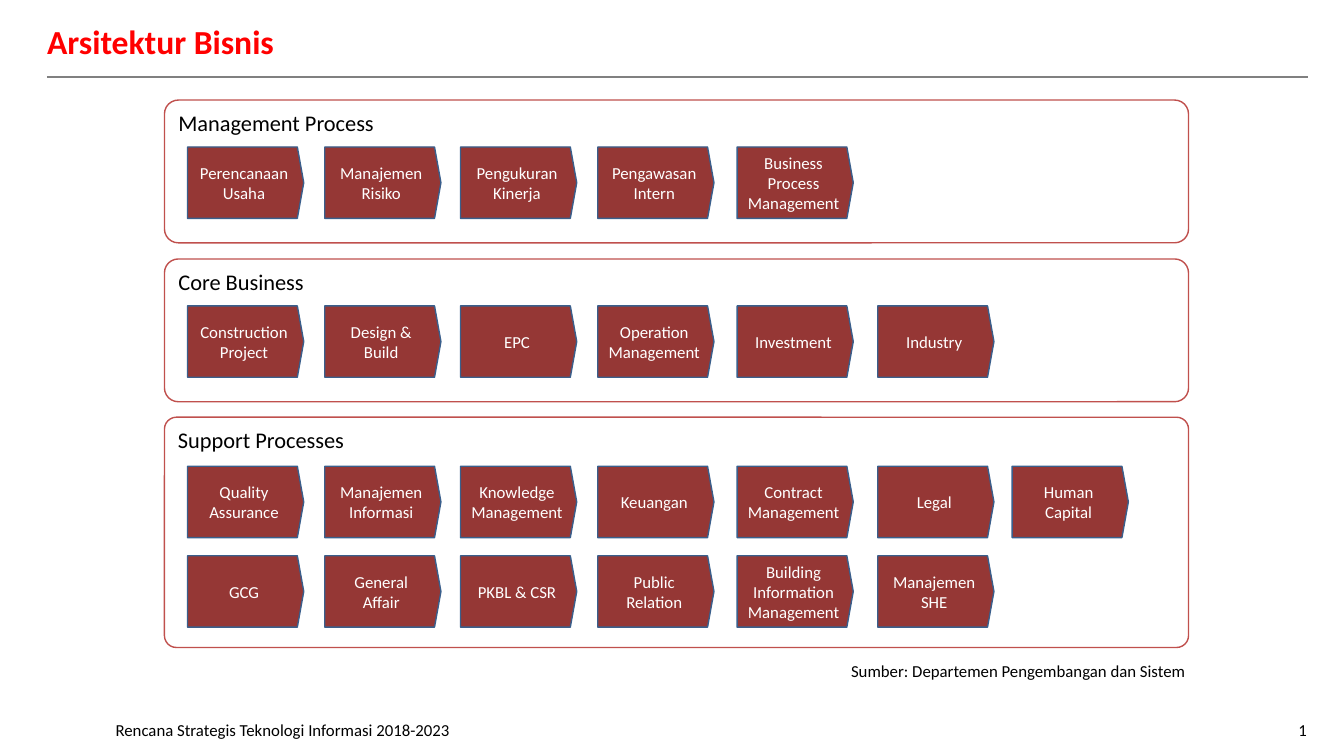
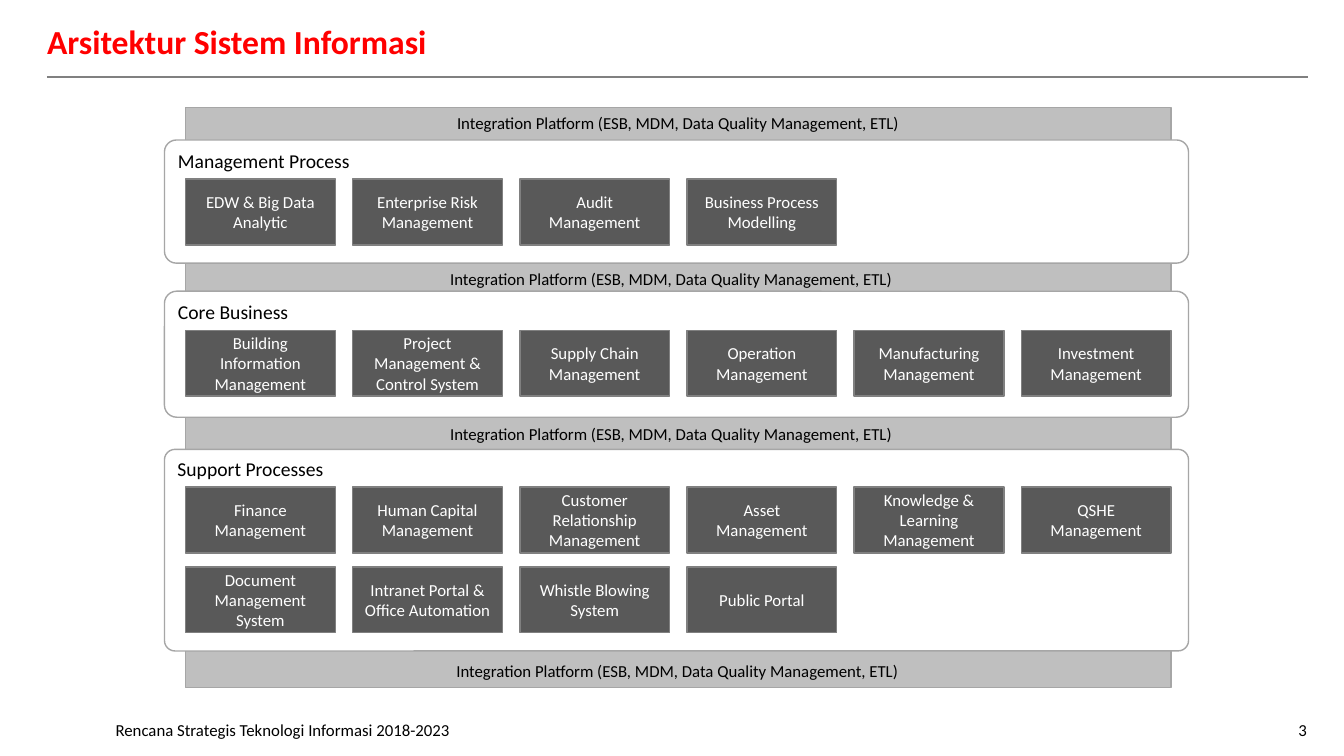
from dataclasses import dataclass

from lxml.etree import SubElement
from pptx import Presentation
from pptx.dml.color import RGBColor
from pptx.enum.shapes import MSO_CONNECTOR as Connector, MSO_SHAPE as Preset
from pptx.enum.text import MSO_ANCHOR as Anchor, PP_ALIGN as Align
from pptx.oxml.ns import qn
from pptx.util import Pt

FONT = "Calibri"
BLACK, WHITE, RED = "000000", "FFFFFF", "FF0000"
MAROON, BRICK, NAVY = "953735", "C0504D", "3A5F8C"
CHARCOAL, GRAY, SILVER, PALE = "595959", "808080", "A6A6A6", "BFBFBF"

FOOTER = "Rencana Strategis Teknologi Informasi 2018-2023"
SOURCE = "Sumber: Departemen Pengembangan dan Sistem"
PLATFORM = "Integration Platform (ESB, MDM, Data Quality Management, ETL)"
PANEL_LEFT, PANEL_WIDTH = 117.5, 731.5


@dataclass(frozen=True)
class Area:
    left: float
    top: float
    width: float
    height: float

    def lengths(self) -> tuple:
        return Pt(self.left), Pt(self.top), Pt(self.width), Pt(self.height)


@dataclass(frozen=True)
class TextStyle:
    size: float = 12
    color: str = BLACK
    bold: bool = False
    align: Align = Align.LEFT
    anchor: Anchor = Anchor.TOP


@dataclass(frozen=True)
class BoxStyle:
    preset: Preset
    fill: str
    line: str
    text: TextStyle
    adjustment: float | None = None


@dataclass(frozen=True)
class Row:
    top: float
    labels: tuple[str, ...]


@dataclass(frozen=True)
class Panel:
    heading: str
    top: float
    height: float
    rows: tuple[Row, ...]


@dataclass(frozen=True)
class PanelStyle:
    """Look of the panels on one page and the grid of boxes inside them."""
    line: str
    heading_size: float
    box: BoxStyle
    box_width: float
    box_height: float
    columns: tuple[float, ...]


TITLE_TEXT = TextStyle(24, RED, bold=True, anchor=Anchor.MIDDLE)
FOOTER_TEXT = TextStyle(anchor=Anchor.MIDDLE)
NUMBER_TEXT = TextStyle(align=Align.RIGHT, anchor=Anchor.MIDDLE)
SOURCE_TEXT = TextStyle(align=Align.RIGHT)
PLATFORM_TEXT = TextStyle(align=Align.CENTER)
BOX_TEXT = TextStyle(color=WHITE, align=Align.CENTER, anchor=Anchor.MIDDLE)

BUSINESS_STYLE = PanelStyle(
    BRICK, 16, BoxStyle(Preset.PENTAGON, MAROON, NAVY, BOX_TEXT, 0.09),
    83, 51, (134, 232, 329, 427, 526.5, 627, 723))
SYSTEM_STYLE = PanelStyle(
    SILVER, 14, BoxStyle(Preset.RECTANGLE, CHARCOAL, GRAY, BOX_TEXT),
    107, 47, tuple(132.5 + 119.4 * column for column in range(6)))
BACKDROP_STYLE = BoxStyle(Preset.RECTANGLE, PALE, SILVER, PLATFORM_TEXT)

BUSINESS_PANELS = (
    Panel("Management Process", 71.5, 102, (
        Row(105, ("Perencanaan Usaha", "Manajemen Risiko", "Pengukuran Kinerja",
                  "Pengawasan Intern", "Business Process Management")),)),
    Panel("Core Business", 185, 102, (
        Row(218.5, ("Construction Project", "Design & Build", "EPC",
                    "Operation Management", "Investment", "Industry")),)),
    Panel("Support Processes", 298, 164.5, (
        Row(333, ("Quality Assurance", "Manajemen Informasi",
                  "Knowledge Management", "Keuangan", "Contract Management",
                  "Legal", "Human Capital")),
        Row(397, ("GCG", "General Affair", "PKBL & CSR", "Public Relation",
                  "Building Information Management", "Manajemen SHE")))),
)
SYSTEM_PANELS = (
    Panel("Management Process", 100, 88, (
        Row(128, ("EDW & Big Data Analytic", "Enterprise Risk Management",
                  "Audit Management", "Business Process Modelling")),)),
    Panel("Core Business", 208, 90, (
        Row(236, ("Building Information Management",
                  "Project Management & Control System",
                  "Supply Chain Management", "Operation Management",
                  "Manufacturing Management", "Investment Management")),)),
    Panel("Support Processes", 321, 144, (
        Row(348, ("Finance Management", "Human Capital Management",
                  "Customer Relationship Management", "Asset Management",
                  "Knowledge & Learning Management", "QSHE Management")),
        Row(405, ("Document Management System",
                  "Intranet Portal & Office Automation",
                  "Whistle Blowing System", "Public Portal")))),
)
PLATFORM_LABELS = (
    Area(284.5, 188.5, 390, 21.5),
    Area(284.5, 299, 390, 21.5),
    Area(289, 468.5, 390, 21.5),
)


def rgb(color: str) -> RGBColor:
    return RGBColor.from_string(color)


def write(shape, text: str, style: TextStyle) -> None:
    frame = shape.text_frame
    frame.text = text
    frame.word_wrap = True
    frame.vertical_anchor = style.anchor
    for para in frame.paragraphs:
        para.alignment = style.align
        for span in para.runs:
            span.font.name = FONT
            span.font.size = Pt(style.size)
            span.font.bold = style.bold
            span.font.color.rgb = rgb(style.color)


def add_text(page, area: Area, text: str, style: TextStyle) -> None:
    write(page.shapes.add_textbox(*area.lengths()), text, style)


def add_box(page, area: Area, text: str, style: BoxStyle) -> None:
    box = page.shapes.add_shape(style.preset, *area.lengths())
    box.shadow.inherit = False
    if style.adjustment is not None:
        box.adjustments[0] = style.adjustment
    box.fill.solid()
    box.fill.fore_color.rgb = rgb(style.fill)
    box.line.color.rgb = rgb(style.line)
    box.line.width = Pt(1)
    write(box, text, style.text)


def add_rule(page) -> None:
    """Draw the thin line below the title."""
    rule = page.shapes.add_connector(
        Connector.STRAIGHT, Pt(33.5), Pt(55), Pt(934), Pt(55))
    rule.line.color.rgb = rgb(GRAY)
    rule.line.width = Pt(0.75)
    SubElement(rule.element.spPr, qn("a:effectLst"))


def add_page(deck, title: str, number: int):
    """Add a blank page with the title, rule and footer that all pages share."""
    page = deck.slides.add_slide(deck.slide_layouts[6])
    add_rule(page)
    add_text(page, Area(26.5, 9.5, 907, 39.5), title, TITLE_TEXT)
    add_text(page, Area(75.5, 507, 550, 29), FOOTER, FOOTER_TEXT)
    add_text(page, Area(864, 509, 76.5, 24), str(number), NUMBER_TEXT)
    return page


def add_panel(page, panel: Panel, style: PanelStyle) -> None:
    corner = 0.097 if len(panel.rows) == 1 else 0.052
    frame = BoxStyle(Preset.ROUNDED_RECTANGLE, WHITE, style.line,
                     TextStyle(style.heading_size), corner)
    area = Area(PANEL_LEFT, panel.top, PANEL_WIDTH, panel.height)
    add_box(page, area, panel.heading, frame)
    for row in panel.rows:
        for left, label in zip(style.columns, row.labels):
            cell = Area(left, row.top, style.box_width, style.box_height)
            add_box(page, cell, label, style.box)


def add_business_page(deck) -> None:
    page = add_page(deck, "Arsitektur Bisnis", 1)
    for panel in BUSINESS_PANELS:
        add_panel(page, panel, BUSINESS_STYLE)
    add_text(page, Area(534, 468.5, 320, 21.5), SOURCE, SOURCE_TEXT)


def add_system_page(deck) -> None:
    page = add_page(deck, "Arsitektur Sistem Informasi", 3)
    add_box(page, Area(132.5, 77, 704, 414), PLATFORM, BACKDROP_STYLE)
    for panel in SYSTEM_PANELS:
        add_panel(page, panel, SYSTEM_STYLE)
    for area in PLATFORM_LABELS:
        add_text(page, area, PLATFORM, PLATFORM_TEXT)


def main() -> None:
    deck = Presentation()
    deck.slide_width, deck.slide_height = Pt(960), Pt(540)
    add_business_page(deck)
    add_system_page(deck)
    deck.save("out.pptx")


if __name__ == "__main__":
    main()
